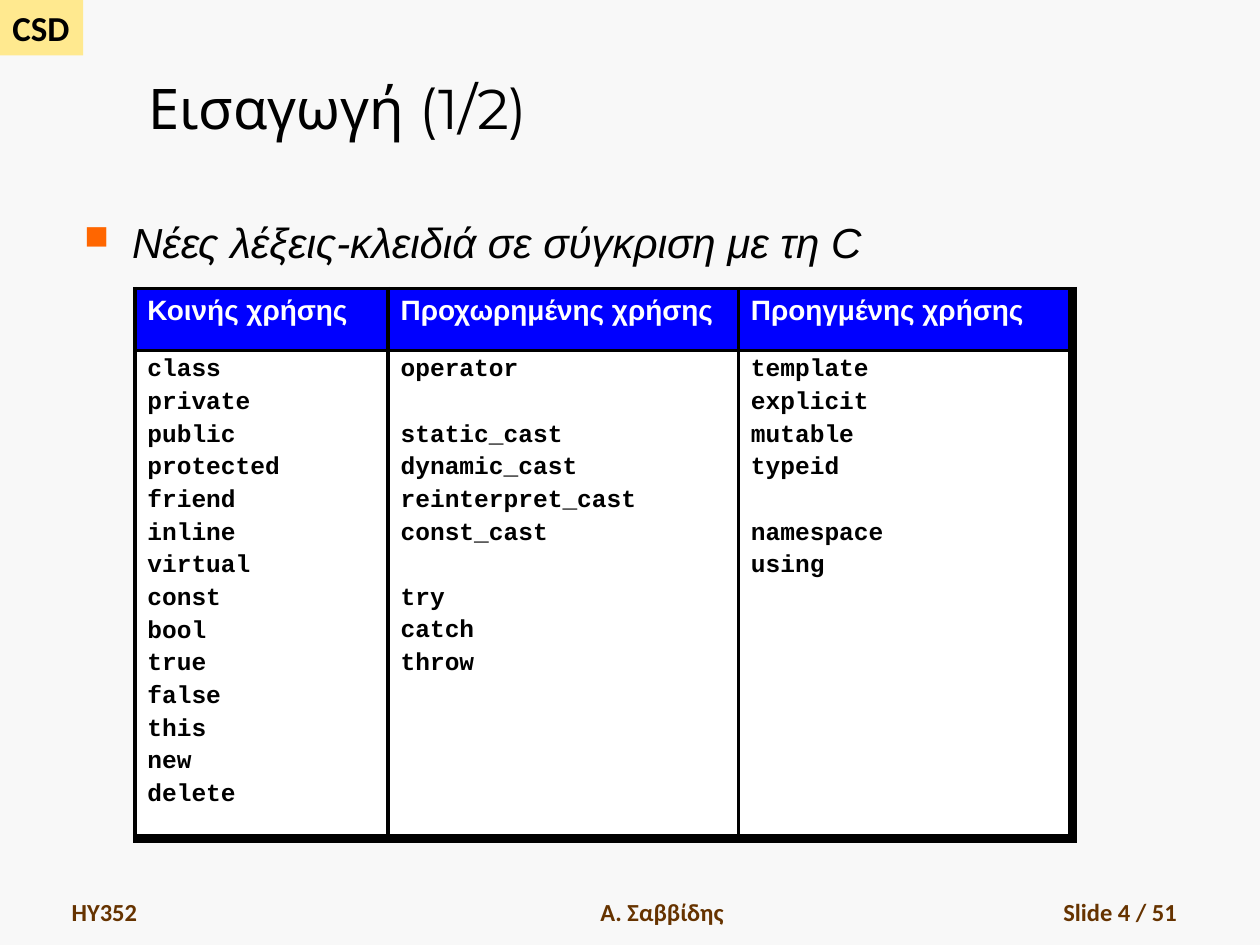
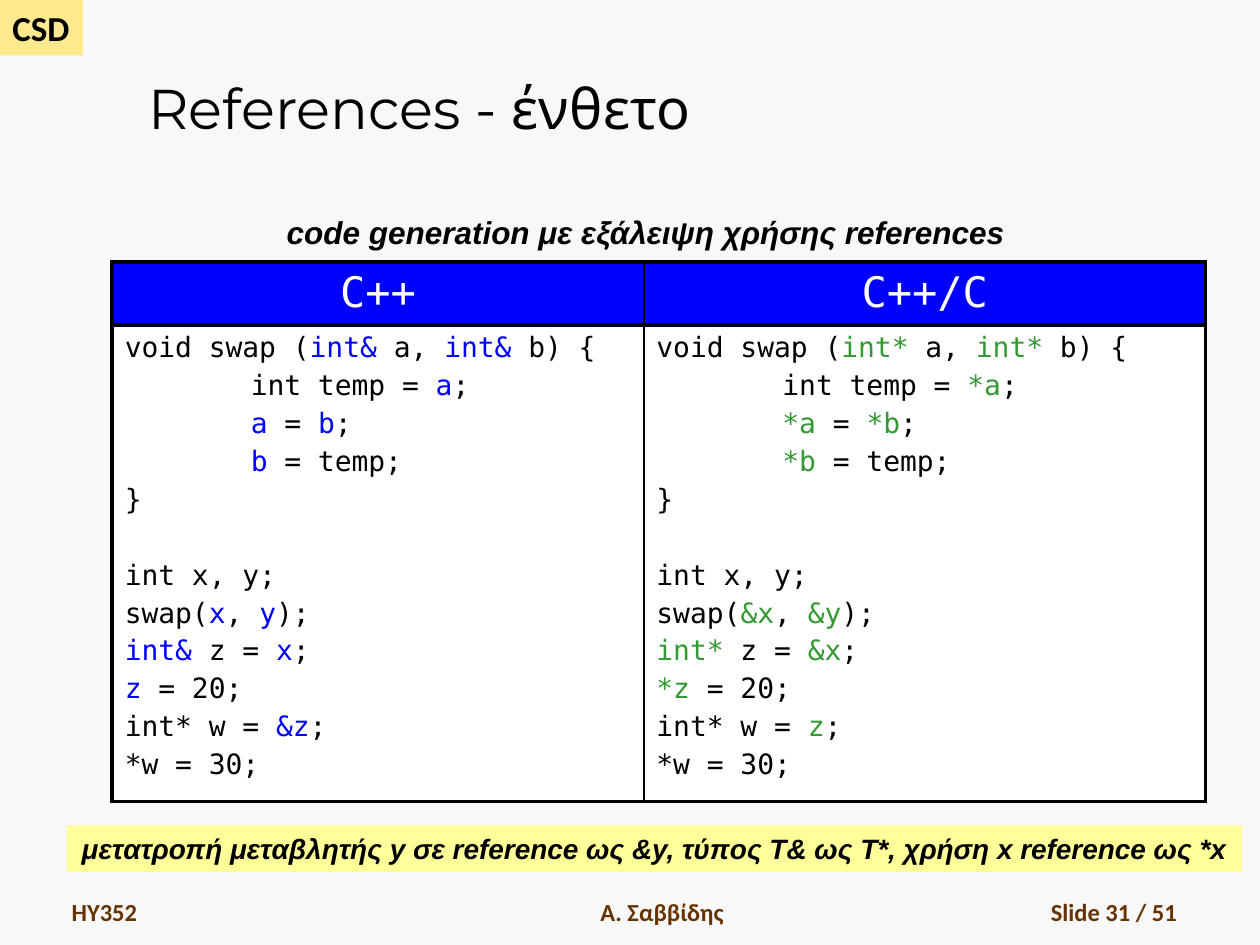
from dataclasses import dataclass

from lxml.etree import SubElement
from pptx import Presentation
from pptx.dml.color import RGBColor as RGB
from pptx.enum.shapes import MSO_SHAPE as SHAPE
from pptx.enum.text import MSO_ANCHOR as ANCHOR, PP_ALIGN as ALIGN
from pptx.oxml import parse_xml
from pptx.oxml.ns import nsdecls, qn
from pptx.util import Inches, Pt

COLS, ROWS = 100, 75


@dataclass(frozen=True)
class Theme:
    """Colours, and one text format for each role."""
    back = "F8F8F8"
    tag_fill = "FFE98F"
    note_fill = "FFFF99"
    head_fill = "0000FF"
    cell_fill = "FFFFFF"
    border = "000000"
    bullet = "FF6600"
    blue = "0000FF"
    green = "339933"
    thin, medium, thick = 1, 2.25, 6
    # Line height, as a multiple of the type size
    line_height = {"Courier New": 1.13, "DejaVu Sans Mono": 1.16}
    tag = dict(name="Calibri", size=20, bold=True, color="000000")
    footer = dict(name="Calibri", size=14, bold=True, color="663300")
    title = dict(name="Montserrat", size=32, color="000000")
    body = dict(name="Arial", size=24, italic=True, color="000000")
    caption = dict(name="Arial", size=18, bold=True, italic=True, color="000000")
    note = dict(name="Arial", size=16, bold=True, italic=True, color="000000")
    word_head = dict(name="Arial", size=16, bold=True, color="FFFFFF")
    word = dict(name="Courier New", size=14, bold=True, color="000000")
    code_head = dict(name="DejaVu Sans Mono", size=24, bold=False, color="FFFFFF")
    code = dict(name="DejaVu Sans Mono", size=16, bold=False, color="000000")


class Deck:
    """Holds the theme and the slide being drawn."""

    def __init__(self, theme):
        """Start an empty deck of 10 by 7.5 inches."""
        self.theme = theme
        self.prs = Presentation()
        self.prs.slide_width, self.prs.slide_height = Inches(10), Inches(7.5)
        self.slide = None

    def x(self, cols):
        """Turn grid columns into a length."""
        return int(self.prs.slide_width * cols / COLS)

    def y(self, rows):
        """Turn grid rows into a length."""
        return int(self.prs.slide_height * rows / ROWS)

    def place(self, at):
        """Turn (left, top, width, height) on the grid into lengths."""
        left, top, width, height = at
        return self.x(left), self.y(top), self.x(width), self.y(height)

    def run(self, p, text, style, color=None):
        """Add one formatted run to a paragraph."""
        r = p.add_run()
        r.text = text
        for key, value in style.items():
            if key == "color":
                r.font.color.rgb = RGB.from_string(color or value)
            else:
                setattr(r.font, key, Pt(value) if key == "size" else value)

    def text(self, sp, text, style, align=ALIGN.LEFT, anchor=ANCHOR.TOP, wrap=True):
        """Fill a shape with one paragraph."""
        tf = sp.text_frame
        tf.word_wrap, tf.vertical_anchor = wrap, anchor
        p = tf.paragraphs[0]
        p.alignment = align
        self.run(p, text, style)
        return p

    def label(self, at, text, style, **layout):
        """Add a plain text box."""
        sp = self.slide.shapes.add_textbox(*self.place(at))
        return self.text(sp, text, style, **layout)

    def band(self, at, text, style, fill, **layout):
        """Add a filled rectangle with text."""
        sp = self.slide.shapes.add_shape(SHAPE.RECTANGLE, *self.place(at))
        sp.shadow.inherit = False
        sp.fill.solid()
        sp.fill.fore_color.rgb = RGB.from_string(fill)
        sp.line.fill.background()
        self.text(sp, text, style, wrap=False, **layout)

    def page(self, title, number):
        """Start a slide with its tag, footers and title."""
        th = self.theme
        self.slide = self.prs.slides.add_slide(self.prs.slide_layouts[6])
        fill = self.slide.background.fill
        fill.solid()
        fill.fore_color.rgb = RGB.from_string(th.back)
        self.band((0, 0, 6.6, 4.4), "CSD", th.tag, th.tag_fill)
        for left, width, text, align in (
                (4.7, 21.9, "HY352", ALIGN.LEFT),
                (36.7, 31.7, "Α. Σαββίδης", ALIGN.CENTER),
                (73.6, 20.8, f"Slide {number} / 51", ALIGN.RIGHT)):
            self.label((left, 69, width, 5), text, th.footer,
                       align=align, anchor=ANCHOR.BOTTOM)
        self.label((10.8, 1.7, 89.2, 10), title, th.title, anchor=ANCHOR.BOTTOM)

    def bullet(self, at, text):
        """Add a text line with a square bullet."""
        p = self.label(at, text, self.theme.body)
        p.space_before = Pt(0.2 * self.theme.body["size"])
        pPr = p._p.get_or_add_pPr()
        pPr.set("marL", str(self.x(3.8)))
        pPr.set("indent", str(-self.x(3.8)))
        color = SubElement(pPr, qn("a:buClr"))
        SubElement(color, qn("a:srgbClr"), val=self.theme.bullet)
        SubElement(pPr, qn("a:buSzPct"), val="80000")
        SubElement(pPr, qn("a:buChar"), char="■")

    def lines(self, cell, lines, style, align=ALIGN.LEFT, accent=None):
        """Write lines in a cell: bars enclose accents, None opens a gap."""
        tf, size, gap = cell.text_frame, style["size"], 0
        lead = 0.2 * size
        first = True
        for line in lines:
            if line is None:
                gap = lead + self.theme.line_height[style["name"]] * size
                continue
            p = tf.paragraphs[0] if first else tf.add_paragraph()
            p.alignment, p.space_before = align, Pt(lead + gap)
            first, gap = False, 0
            if line.startswith("\t"):
                tabs = SubElement(p._p.get_or_add_pPr(), qn("a:tabLst"))
                SubElement(tabs, qn("a:tab"), pos=str(self.x(10)), algn="l")
            for i, part in enumerate(line.split("|")):
                if part:
                    self.run(p, part, style, accent if i % 2 else None)

    def borders(self, cell, widths):
        """Draw the left, right, top and bottom borders of a cell."""
        tcPr = cell._tc.get_or_add_tcPr()
        for i, (side, width) in enumerate(zip("LRTB", widths)):
            tcPr.insert(i, parse_xml(
                f'<a:ln{side} {nsdecls("a")} w="{Pt(width)}"><a:solidFill>'
                f'<a:srgbClr val="{self.theme.border}"/></a:solidFill></a:ln{side}>'))

    def table(self, at, widths, heads, columns, styles, head_align=ALIGN.LEFT,
              accents=(None, None, None), inner=Theme.medium, edge=Theme.medium):
        """Add a header row over one row of text columns."""
        th, heights = self.theme, (4.9, 36.7)
        frame = self.slide.shapes.add_table(
            2, len(widths), *self.place((*at, sum(widths), sum(heights))))
        tbl = frame.table
        tbl.first_row = tbl.horz_banding = False
        for row, height in zip(tbl.rows, heights):
            row.height = self.y(height)
        last = len(widths) - 1
        for c, width in enumerate(widths):
            tbl.columns[c].width = self.x(width)
            head, body = tbl.cell(0, c), tbl.cell(1, c)
            self.lines(head, [heads[c]], styles[0], head_align)
            self.lines(body, columns[c], styles[1], accent=accents[c])
            sides = (inner if c else th.medium, edge if c == last else inner)
            for cell, fill, bottom in ((head, th.head_fill, th.medium),
                                       (body, th.cell_fill, edge)):
                cell.fill.solid()
                cell.fill.fore_color.rgb = RGB.from_string(fill)
                self.borders(cell, (*sides, th.medium, bottom))


KEYWORDS = {
    "Κοινής χρήσης": [
        "class", "private", "public", "protected", "friend", "inline", "virtual",
        "const", "bool", "true", "false", "this", "new", "delete"],
    "Προχωρημένης χρήσης": [
        "operator", None, "static_cast", "dynamic_cast", "reinterpret_cast",
        "const_cast", None, "try", "catch", "throw"],
    "Προηγμένης χρήσης": [
        "template", "explicit", "mutable", "typeid", None, "namespace", "using"],
}

# Slots: type of a reference, use of one, address of a variable, address of z
SWAP = [
    "void swap (|{type}| a, |{type}| b) {{", "\tint temp = |{use}a|;",
    "\t|{use}a| = |{use}b|;", "\t|{use}b| = temp;", "}}", None,
    "int x, y;", "swap(|{addr}x|, |{addr}y|);", "|{type}| z = |{addr}x|;",
    "|{use}z| = 20;", "int* w = |{addr_z}z|;", "*w = 30;",
]
DIALECTS = {
    "C++": dict(type="int&", use="", addr="", addr_z="&"),
    "C++/C": dict(type="int*", use="*", addr="&", addr_z=""),
}


def swap_code(slots):
    """Write the swap example in one dialect."""
    return [line and line.format(**slots) for line in SWAP]


def keywords_slide(deck):
    """Draw the table of new keywords."""
    th = deck.theme
    deck.page("Εισαγωγή (1/2)", 4)
    deck.bullet((5.7, 16.7, 90.8, 5.1), "Νέες λέξεις-κλειδιά σε σύγκριση με τη C")
    deck.table((10.7, 22.9), (20.1, 27.8, 26.5), list(KEYWORDS),
               list(KEYWORDS.values()), (th.word_head, th.word), edge=th.thick)


def references_slide(deck):
    """Draw the two versions of swap side by side."""
    th = deck.theme
    deck.page("References - ένθετο", 31)
    deck.table((8.9, 20.8), (42.2, 44.6), list(DIALECTS),
               [swap_code(slots) for slots in DIALECTS.values()],
               (th.code_head, th.code), head_align=ALIGN.CENTER,
               accents=(th.blue, th.green), inner=th.thin)
    deck.label((21.7, 16.4, 59.1, 4), "code generation με εξάλειψη χρήσης references",
               th.caption, align=ALIGN.CENTER, wrap=False)
    deck.band((5.3, 65.5, 93.3, 3.7),
              "μετατροπή μεταβλητής y σε reference ως &y, "
              "τύπος Τ& ως Τ*, χρήση x reference ως *x",
              th.note, th.note_fill, align=ALIGN.CENTER)


deck = Deck(Theme())
keywords_slide(deck)
references_slide(deck)
deck.prs.save("out.pptx")
